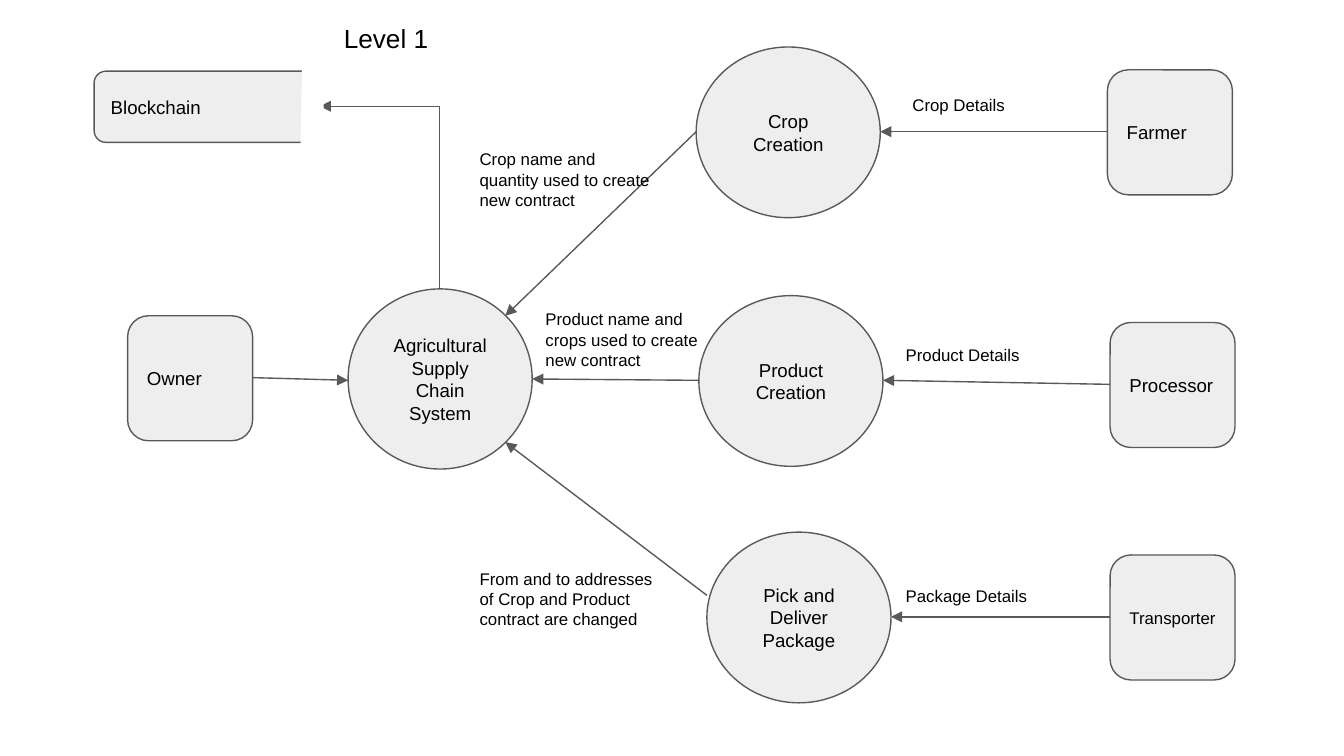
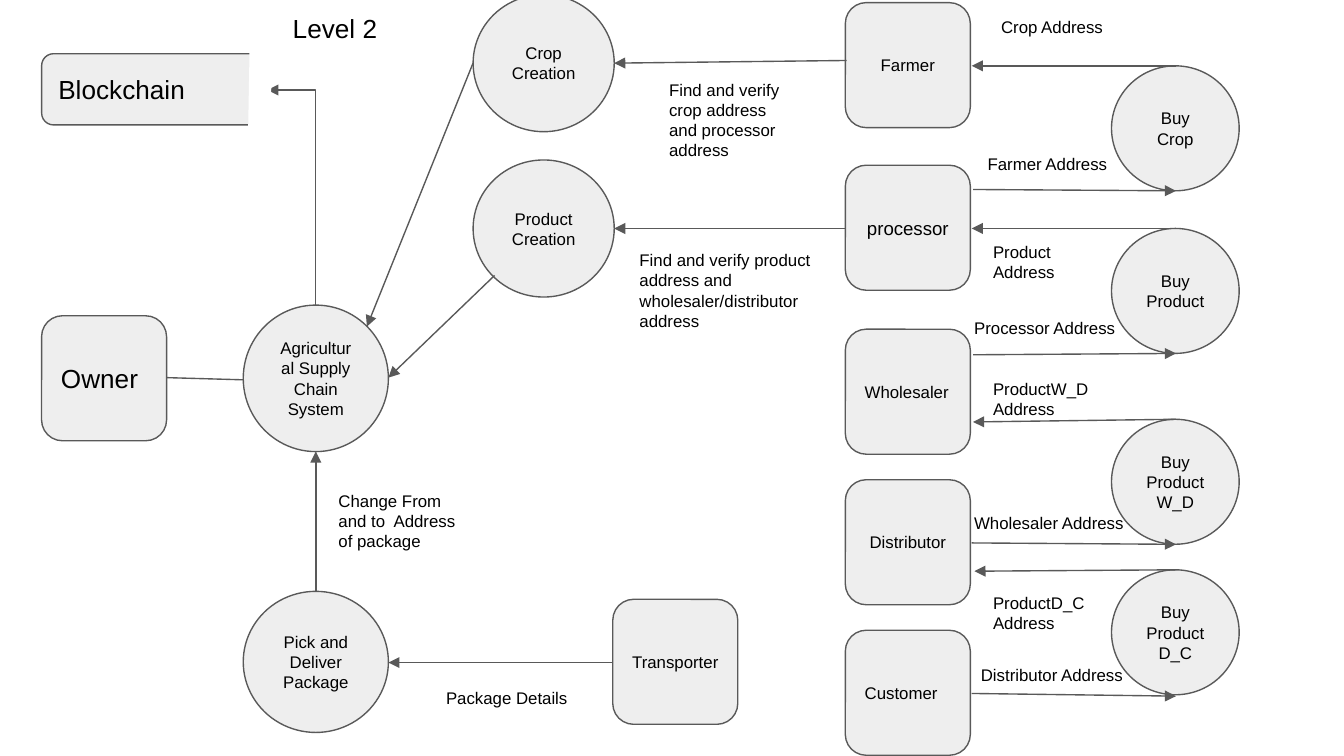
from dataclasses import dataclass

from lxml import etree
from pptx import Presentation
from pptx.dml.color import RGBColor
from pptx.enum.shapes import MSO_CONNECTOR, MSO_SHAPE
from pptx.enum.text import MSO_ANCHOR, MSO_AUTO_SIZE, PP_ALIGN
from pptx.oxml.ns import qn
from pptx.util import Inches, Pt

ROUND = MSO_SHAPE.ROUNDED_RECTANGLE
CIRCLE = MSO_SHAPE.FLOWCHART_CONNECTOR
STRAIGHT, ELBOW = MSO_CONNECTOR.STRAIGHT, MSO_CONNECTOR.ELBOW
LEFT, CENTER = PP_ALIGN.LEFT, PP_ALIGN.CENTER
MIDDLE, GROW = MSO_ANCHOR.MIDDLE, MSO_AUTO_SIZE.SHAPE_TO_FIT_TEXT


@dataclass(frozen=True)
class Theme:
    font: str = "Arial"
    ink: RGBColor = RGBColor(0, 0, 0)
    fill: RGBColor = RGBColor(0xEE, 0xEE, 0xEE)
    edge: RGBColor = RGBColor(0x59, 0x59, 0x59)
    paper: RGBColor = RGBColor(0xFF, 0xFF, 0xFF)
    small: int = 9
    base: int = 10
    large: int = 14
    thin: float = 0.75
    thick: float = 12
    pad: float = 0.1


T = Theme()
SIDE = 0.93


def write(shapes, kind, at, text, size=T.small, align=LEFT):
    """Add a filled node, or a plain text box when kind is None."""
    at = [Inches(v) for v in at]
    if kind is None:
        item = shapes.add_textbox(*at)
    else:
        item = shapes.add_shape(kind, *at)
        item.shadow.inherit = False
        item.fill.solid()
        item.fill.fore_color.rgb = T.fill
        item.line.color.rgb = T.edge
        item.line.width = Pt(T.thin)
    frame = item.text_frame
    frame.word_wrap = True
    frame.margin_left = frame.margin_right = Inches(T.pad)
    frame.margin_top = frame.margin_bottom = Inches(T.pad)
    if kind is None:
        frame.auto_size = GROW
    else:
        frame.vertical_anchor = MIDDLE
    para = frame.paragraphs[0]
    para.text = text
    para.alignment = align
    para.font.name = T.font
    para.font.size = Pt(size)
    para.font.color.rgb = T.ink


def link(shapes, ends, kind=STRAIGHT, color=T.edge, width=T.thin, arrow=True):
    item = shapes.add_connector(kind, *[Inches(v) for v in ends])
    item.line.color.rgb = color
    item.line.width = Pt(width)
    spec = item.element.spPr
    if arrow:
        tip = etree.SubElement(spec.find(qn("a:ln")), qn("a:tailEnd"))
        tip.set("type", "triangle")
    etree.SubElement(spec, qn("a:effectLst"))
    return item


level_one = {
    "title": ("Level 1", 2.46, 0.07),
    "owner": (0.95, T.base, (1.88, 2.81, 2.59, 2.83)),
    "store": (0.7, 0.53, T.base),
    "bend": (3.27, 2.15, 2.38, 0.79),
    "squares": [
        (8.24, 0.52, "Farmer", T.base, LEFT),
        (8.26, 2.4, "Processor", T.base, LEFT),
        (8.26, 4.13, "Transporter", T.small, LEFT),
    ],
    "circles": [
        (5.18, 0.35, 1.37, 1.27, "Crop Creation"),
        (2.59, 2.15, 1.37, 1.34, "Agricultural Supply Chain System"),
        (5.2, 2.2, 1.37, 1.27, "Product Creation"),
        (5.26, 3.96, 1.37, 1.27, "Pick and Deliver Package"),
    ],
    "round": T.base,
    "links": [
        (8.24, 0.98, 6.55, 0.98),
        (5.18, 0.98, 3.76, 2.35),
        (8.26, 2.86, 6.57, 2.83),
        (5.2, 2.83, 3.96, 2.82),
        (8.26, 4.59, 6.63, 4.59),
        (5.26, 4.43, 3.76, 3.29),
    ],
    "labels": [
        (6.69, 0.63, 1.51, 0.35, "Crop Details"),
        (6.64, 2.49, 1.51, 0.35, "Product Details"),
        (6.64, 4.28, 1.51, 0.35, "Package Details"),
        (3.47, 1.01, 1.51, 0.66,
         "Crop name and quantity used to create new contract"),
        (3.96, 2.2, 1.51, 0.66,
         "Product name and crops used to create new contract"),
        (3.47, 4.13, 1.51, 0.66,
         "From and to addresses of Crop and Product contract are changed"),
    ],
}

level_two = {
    "title": ("Level 2", 2.08, -0.01),
    "owner": (0.31, T.large, (1.24, 2.81, 1.94, 2.83)),
    "store": (0.31, 0.4, T.large),
    "bend": (2.35, 2.27, 1.99, 0.67),
    "squares": [
        (6.29, 0.02, "Farmer", T.small, CENTER),
        (6.29, 1.23, "processor", T.base, CENTER),
        (6.29, 2.45, "Wholesaler", T.small, LEFT),
        (6.29, 3.57, "Distributor", T.small, CENTER),
        (6.29, 4.69, "Customer", T.small, LEFT),
        (4.56, 4.46, "Transporter", T.small, CENTER),
    ],
    "circles": [
        (3.52, -0.04, 1.05, 1.02, "Crop Creation"),
        (3.52, 1.19, 1.05, 1.02, "Product Creation"),
        (1.81, 2.27, 1.08, 1.09, "Agricultural Supply Chain System"),
        (1.81, 4.4, 1.08, 1.05, "Pick and Deliver Package"),
        (8.27, 0.49, 0.95, SIDE, "Buy Crop"),
        (8.27, 1.7, 0.95, SIDE, "Buy Product"),
        (8.27, 3.12, 0.95, SIDE, "Buy ProductW_D"),
        (8.27, 4.24, 0.95, SIDE, "Buy ProductD_C"),
    ],
    "round": T.small,
    "links": [
        (3.52, 0.47, 2.73, 2.43),
        (3.68, 2.05, 2.89, 2.81),
        (4.56, 4.93, 2.89, 4.93),
        (2.35, 4.4, 2.35, 3.36),
        (6.3, 0.45, 4.57, 0.47),
        (6.29, 1.7, 4.57, 1.7),
        (8.75, 0.49, 7.23, 0.49),
        (7.24, 1.41, 8.75, 1.42),
        (8.75, 1.7, 7.23, 1.7),
        (7.24, 2.64, 8.75, 2.63),
        (8.75, 3.12, 7.24, 3.14),
        (7.23, 4.04, 8.75, 4.05),
        (8.75, 4.24, 7.25, 4.25),
        (7.23, 5.16, 8.75, 5.18),
    ],
    "labels": [
        (7.35, 0.05, 1.11, 0.35, "Crop Address"),
        (7.25, 1.07, 1.11, 0.35, "Farmer Address"),
        (7.29, 1.7, 1.11, 0.5, "Product Address"),
        (7.15, 2.29, 1.5, 0.35, "Processor Address"),
        (7.29, 2.72, 1.11, 0.5, "ProductW_D Address"),
        (7.15, 3.74, 1.5, 0.35, "Wholesaler Address"),
        (7.29, 4.31, 1.11, 0.5, "ProductD_C Address"),
        (7.2, 4.87, 1.4, 0.35, "Distributor Address"),
        (4.88, 0.49, 1.11, 0.81,
         "Find and verify crop address and processor address"),
        (4.66, 1.76, 1.57, 0.81,
         "Find and verify product address and wholesaler/distributor address"),
        (3.22, 5.04, 1.11, 0.35, "Package Details"),
        (2.42, 3.55, 1.11, 0.66, "Change From and to  Address of package"),
    ],
}

deck = Presentation()
deck.slide_width = Inches(10)
deck.slide_height = deck.slide_width * 9 // 16

for level in (level_one, level_two):
    shapes = deck.slides.add_slide(deck.slide_layouts[6]).shapes

    # The owner's arrow runs beneath the system circle
    x, size, ends = level["owner"]
    link(shapes, ends)
    write(shapes, ROUND, (x, 2.35, SIDE, SIDE), "Owner", size)

    for x, y, text, size, align in level["squares"]:
        write(shapes, ROUND, (x, y, SIDE, SIDE), text, size, align)
    for *at, text in level["circles"]:
        write(shapes, CIRCLE, at, text, level["round"], CENTER)
    for ends in level["links"]:
        link(shapes, ends)

    # One-corner elbow: its box is laid on its side, then turned a quarter
    x1, y1, x2, y2 = level["bend"]
    midx, midy = (x1 + x2) / 2, (y1 + y2) / 2
    halfw, halfh = (y1 - y2) / 2, (x1 - x2) / 2
    ends = (midx + halfw, midy - halfh, midx - halfw, midy + halfh)
    bend = link(shapes, ends, ELBOW).element.spPr
    bend.find(qn("a:xfrm")).set("rot", "5400000")
    bend.find(qn("a:prstGeom")).set("prst", "bentConnector2")

    # A thick white stroke opens the right side of the data store
    x, y, size = level["store"]
    store = shapes.add_group_shape().shapes
    write(store, ROUND, (x, y, 1.68, 0.53), "Blockchain", size)
    link(store, (x + 1.63, y - 0.01, x + 1.62, y + 0.55),
         color=T.paper, width=T.thick, arrow=False)

    for *at, text in level["labels"]:
        write(shapes, None, at, text)
    text, x, y = level["title"]
    write(shapes, None, (x, y, 5.07, 0.44), text, T.large)

deck.save("out.pptx")
